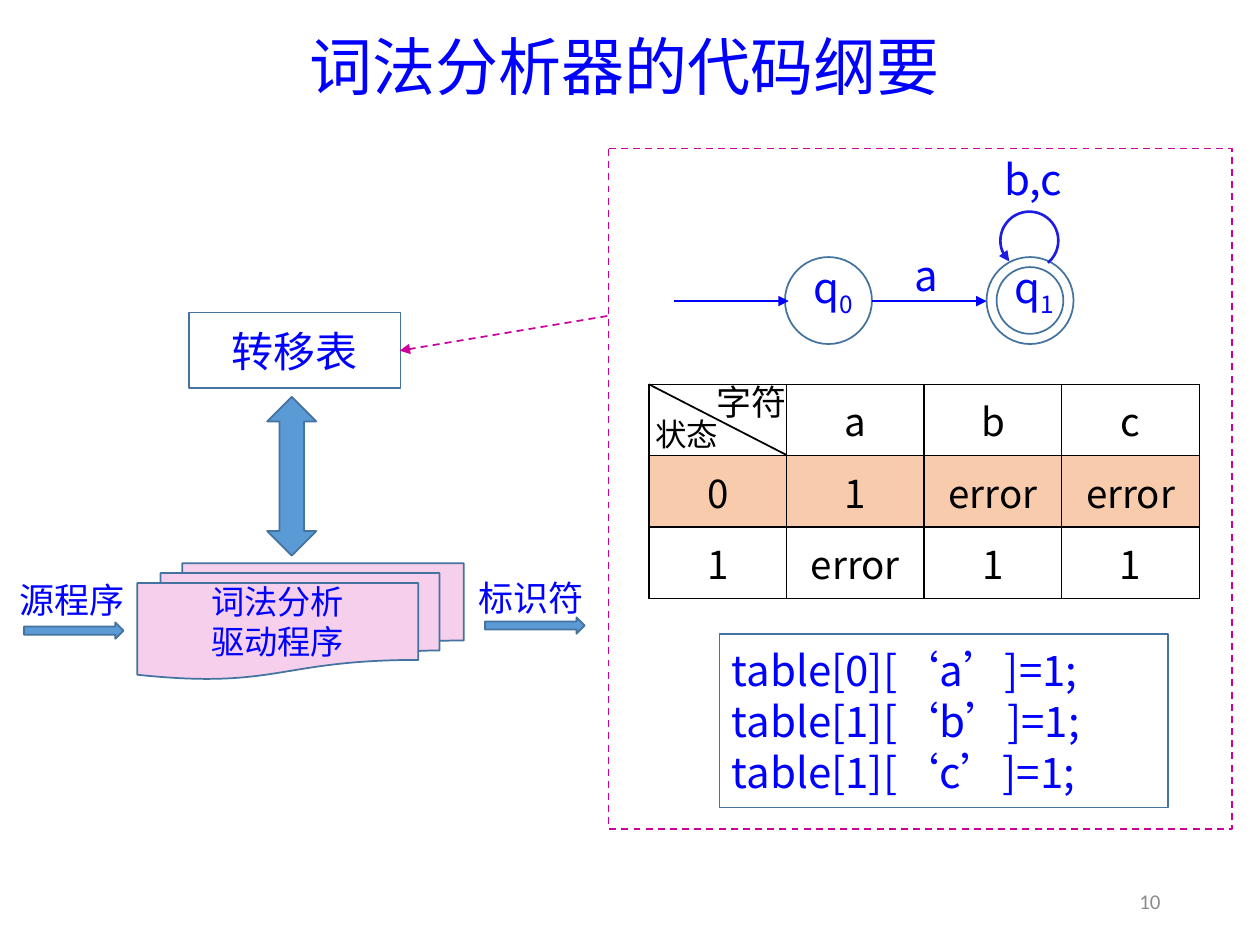
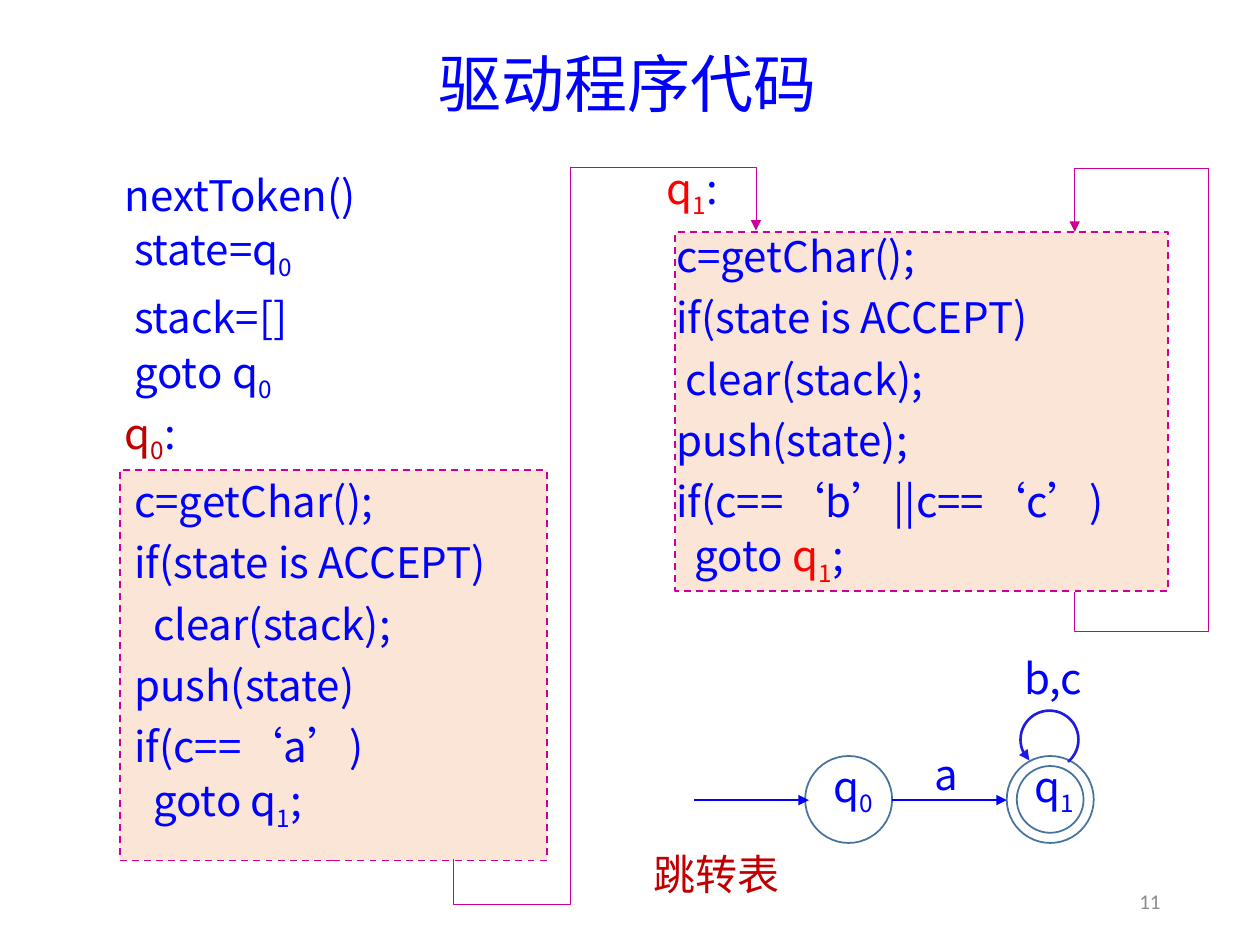
from lxml.etree import SubElement as Sub
from pptx import Presentation
from pptx.dml.color import RGBColor
from pptx.enum.dml import MSO_LINE as Dash
from pptx.enum.shapes import MSO_CONNECTOR as Conn, MSO_SHAPE as Geo
from pptx.enum.text import MSO_ANCHOR as Anchor, MSO_AUTO_SIZE as Fit, PP_ALIGN as Align
from pptx.oxml.ns import qn
from pptx.util import Inches, Pt

BLUE = RGBColor(0x00, 0x00, 0xFF)
INK = RGBColor(0x1E, 0x1C, 0xE3)
STEEL = RGBColor(0x43, 0x73, 0x9E)
SKY = RGBColor(0x5B, 0x9B, 0xD5)
PINK = RGBColor(0xCC, 0x00, 0x99)
PEACH = RGBColor(0xFB, 0xE5, 0xD6)
AMBER = RGBColor(0xF8, 0xCB, 0xAD)
RED = RGBColor(0xFF, 0x00, 0x00)
BRICK = RGBColor(0xC0, 0x00, 0x00)
GREY = RGBColor(0x8C, 0x8C, 0x8C)
BLACK = RGBColor(0x00, 0x00, 0x00)
SANS = "Noto Sans CJK SC"
HEAD = "Noto Sans CJK JP"
SPACE = 0.075


def state(num, color=BLUE):
    return [("q", color, False), (num, color, True)]


def plain(text, color=BLUE):
    return [(text, color, False)]


def add_run(para, text, color, low, size, font=SANS):
    run = para.add_run()
    run.text = text
    run.font.size = Pt(size)
    run.font.name = font
    run.font.color.rgb = color
    props = run._r.get_or_add_rPr()
    Sub(props, qn("a:ea")).set("typeface", font)
    if low:
        props.set("baseline", "-25000")


def fill_text(frame, lines, size=24, align=Align.CENTER, font=SANS, pitch=None):
    frame.word_wrap = True
    frame.auto_size = Fit.NONE
    for i, runs in enumerate(lines):
        para = frame.paragraphs[0] if i == 0 else frame.add_paragraph()
        para.alignment = align
        if pitch:
            para.line_spacing = pitch
        for text, color, low in runs:
            add_run(para, text, color, low, size, font)


def label(slide, box, runs, size=24, align=Align.CENTER, font=SANS, side=0):
    frame = slide.shapes.add_textbox(*map(Inches, box)).text_frame
    frame.margin_left = frame.margin_right = Inches(side)
    frame.margin_top = frame.margin_bottom = 0
    frame.vertical_anchor = Anchor.MIDDLE
    fill_text(frame, [runs], size, align, font)


def set_fill(shape, color):
    if color is None:
        shape.fill.background()
    else:
        shape.fill.solid()
        shape.fill.fore_color.rgb = color


def add_tip(shape, end):
    Sub(shape.line._get_or_add_ln(), qn("a:" + end)).set("type", "triangle")


def add_form(slide, geo, box, fill=None, line=STEEL, width=1, dash=False):
    shape = slide.shapes.add_shape(geo, *map(Inches, box))
    shape.shadow.inherit = False
    set_fill(shape, fill)
    shape.line.color.rgb = line
    shape.line.width = Pt(width)
    if dash:
        shape.line.dash_style = Dash.DASH
    shape.text_frame.vertical_anchor = Anchor.MIDDLE
    return shape


def add_line(slide, start, end, color, tip=False):
    line = slide.shapes.add_connector(Conn.STRAIGHT, *map(Inches, start + end))
    line.line.color.rgb = color
    line.line.width = Pt(1)
    Sub(line._element.spPr, qn("a:effectLst"))
    if tip:
        add_tip(line, "tailEnd")


def add_route(slide, points):
    spots = [(Inches(x), Inches(y)) for x, y in points]
    pen = slide.shapes.build_freeform(*spots[0])
    pen.add_line_segments(spots[1:], close=False)
    route = pen.convert_to_shape()
    route.shadow.inherit = False
    route.fill.background()
    route.line.color.rgb = PINK
    route.line.width = Pt(0.5)
    add_tip(route, "tailEnd")


def set_title(slide, box, text):
    title = slide.shapes.title
    title.left, title.top, title.width, title.height = map(Inches, box)
    title.text_frame.vertical_anchor = Anchor.MIDDLE
    fill_text(title.text_frame, [plain(text)], 36, font=HEAD, pitch=0.9)


def add_page(slide, num):
    label(slide, (8.55, 6.95, 0.76, 0.4), plain(num, GREY), 12, Align.RIGHT, "Calibri", 0.1)


def draw_graph(slide, left, top):
    for x, num in ((0.88, "0"), (2.48, "1")):
        add_form(slide, Geo.OVAL, (left + x, top + 0.88, 0.69, 0.69))
        label(slide, (left + x + 0.01, top + 0.88, 0.74, 0.52), state(num))
    add_form(slide, Geo.OVAL, (left + 2.56, top + 0.96, 0.53, 0.53))
    for x in (0, 1.57):
        add_line(slide, (left + x, top + 1.23), (left + x + 0.91, top + 1.23), BLUE, True)
    loop = add_form(slide, Geo.ARC, (left + 2.59, top + 0.52, 0.46, 0.46), line=INK, width=1.5)
    loop.adjustments[0] = 80.3
    loop.adjustments[1] = 30.15
    add_tip(loop, "headEnd")
    label(slide, (left + 2.48, top, 0.74, 0.52), plain("b,c"))
    label(slide, (left + 1.63, top + 0.76, 0.74, 0.52), plain("a"))


def draw_flow(slide, left, top):
    def place(x, y, wide, high):
        return left + x, top + y, wide, high

    table = add_form(slide, Geo.RECTANGLE, place(1.5, 0, 1.68, 0.6))
    fill_text(table.text_frame, [plain("转移表")])
    docs = add_form(slide, Geo.FLOWCHART_MULTIDOCUMENT, place(1.09, 1.99, 2.59, 0.92), PINK)
    tint = docs.fill._xPr.find(qn("a:solidFill"))[0]
    Sub(tint, qn("a:alpha")).set("val", "19000")
    frame = docs.text_frame
    frame.margin_left = frame.margin_right = frame.margin_top = 0
    frame.margin_bottom = Inches(0.12)
    fill_text(frame, [plain("词法分析"), plain("驱动程序")], 19, pitch=Pt(22.5))
    add_form(slide, Geo.UP_DOWN_ARROW, place(2.12, 0.67, 0.39, 1.26), SKY)
    for x, y, text in ((0, 2.06, "源程序"), (3.64, 2.05, "标识符")):
        label(slide, place(x, y, 1.15, 0.43), plain(text), 20)
    for x, y in ((0.19, 2.46), (3.85, 2.42)):
        add_form(slide, Geo.RIGHT_ARROW, place(x, y, 0.79, 0.13), SKY)


def set_edges(cell):
    props = cell._tc.get_or_add_tcPr()
    for i, side in enumerate(("lnL", "lnR", "lnT", "lnB")):
        edge = props.makeelement(qn("a:" + side), {"w": "12700"})
        paint = Sub(edge, qn("a:solidFill"))
        Sub(paint, qn("a:srgbClr")).set("val", str(BLACK))
        props.insert(i, edge)


def draw_grid(slide, left, top):
    rows = (("", "a", "b", "c"), ("0", "1", "error", "error"), ("1", "error", "1", "1"))
    box = map(Inches, (left, top, 4.37, 1.7))
    grid = slide.shapes.add_table(len(rows), len(rows[0]), *box).table
    for r, row in enumerate(rows):
        for c, text in enumerate(row):
            cell = grid.cell(r, c)
            set_fill(cell, AMBER if r == 1 else None)
            set_edges(cell)
            cell.vertical_anchor = Anchor.MIDDLE
            if text:
                para = cell.text_frame.paragraphs[0]
                para.alignment = Align.CENTER
                add_run(para, text, BLACK, False, 22)
    label(slide, (left - 0.1, top + 0.18, 0.8, 0.42), plain("状态", BLACK), 18)
    label(slide, (left + 0.4, top - 0.05, 0.83, 0.38), plain("字符", BLACK), 20)
    add_line(slide, (left, top), (left + 1.09, top + 0.56), BLACK)


def draw_panel(slide, left, top):
    code = add_form(slide, Geo.RECTANGLE, (left + 0.88, top + 3.85, 3.56, 1.38))
    lines = [plain(f"table[{row}][‘{char}’]=1;") for row, char in ("0a", "1b", "1c")]
    fill_text(code.text_frame, lines, align=Align.LEFT, pitch=Pt(29))
    draw_graph(slide, left + 0.52, top - 0.02)
    draw_grid(slide, left + 0.32, top + 1.87)
    note = add_form(slide, Geo.LINE_CALLOUT_1, (left, top, 4.95, 5.4), line=PINK, dash=True)
    for i, value in enumerate((0.246, -0.002, 0.297, -0.335)):
        note.adjustments[i] = value
    add_tip(note, "tailEnd")


def draw_code(body, box, lines):
    body.left, body.top, body.width, body.height = map(Inches, box)
    frame = body.text_frame
    frame.vertical_anchor = Anchor.TOP
    fill_text(frame, [runs for _, runs in lines], align=Align.LEFT, pitch=Pt(29))
    for para, (depth, _) in zip(frame.paragraphs, lines):
        para.space_before = Pt(6)
        props = para._p.get_or_add_pPr()
        props.set("marL", str(Inches(depth * SPACE)))
        props.set("indent", "0")
        Sub(props, qn("a:buNone"))


def build_outline(deck):
    slide = deck.slides.add_slide(deck.slide_layouts[5])
    set_title(slide, (0.48, 0.22, 8.95, 0.68), "词法分析器的代码纲要")
    draw_flow(slide, 0, 2.48)
    draw_panel(slide, 4.83, 1.18)
    add_page(slide, "10")


def build_driver(deck):
    slide = deck.slides.add_slide(deck.slide_layouts[3])
    for box in ((0.95, 3.73, 3.39, 3.1), (5.36, 1.84, 3.91, 2.85)):
        block = add_form(slide, Geo.RECTANGLE, box, PEACH, PINK, dash=True)
        slide.shapes._spTree.insert(2, block._element)
    add_route(slide, [(8.53, 4.7), (8.53, 5.01), (9.59, 5.01),
                      (9.59, 1.34), (8.53, 1.34), (8.53, 1.84)])
    add_route(slide, [(3.6, 6.82), (3.6, 7.18), (4.53, 7.18),
                      (4.53, 1.33), (6, 1.33), (6, 1.83)])
    set_title(slide, (0.67, 0.32, 8.62, 0.74), "驱动程序代码")
    start = [
        (0, plain("nextToken()")),
        (1, plain("state=") + state("0")),
        (1, plain("stack=[]")),
        (1, plain("goto ") + state("0")),
        (0, state("0", BRICK) + plain(":")),
        (1, plain("c=getChar();")),
        (1, plain("if(state is ACCEPT)")),
        (3, plain("clear(stack);")),
        (1, plain("push(state)")),
        (1, plain("if(c==‘a’)")),
        (3, plain("goto ") + state("1") + plain(";")),
    ]
    accept = [
        (0, state("1", RED) + plain(":")),
        (1, plain("c=getChar();")),
        (1, plain("if(state is ACCEPT)")),
        (2, plain("clear(stack);")),
        (1, plain("push(state);")),
        (1, plain("if(c==‘b’||c==‘c’)")),
        (3, plain("goto ") + state("1", RED) + plain(";")),
    ]
    draw_code(slide.placeholders[1], (0.89, 1.29, 3.88, 5.5), start)
    draw_code(slide.placeholders[2], (5.19, 1.29, 4.28, 3.41), accept)
    label(slide, (4.9, 6.67, 1.57, 0.52), plain("跳转表", BRICK))
    draw_graph(slide, 5.51, 5.12)
    add_page(slide, "11")


def main():
    deck = Presentation()
    deck.slide_width, deck.slide_height = Inches(10), Inches(7.5)
    build_outline(deck)
    build_driver(deck)
    deck.save("out.pptx")


if __name__ == "__main__":
    main()
